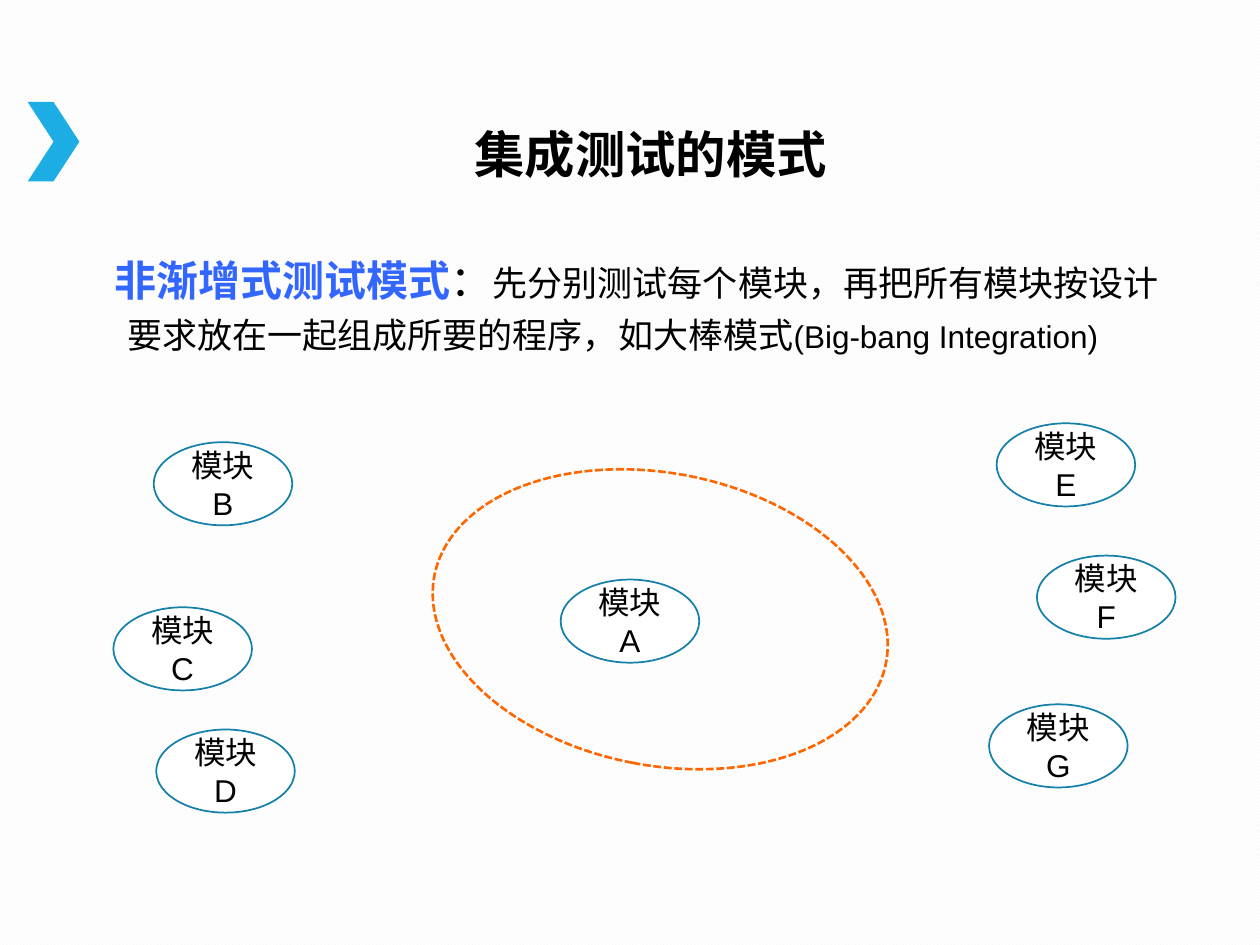
from pptx import Presentation
from pptx.dml.color import RGBColor
from pptx.enum.dml import MSO_LINE, MSO_PATTERN
from pptx.enum.shapes import MSO_SHAPE
from pptx.enum.text import MSO_ANCHOR, MSO_AUTO_SIZE, PP_ALIGN
from pptx.util import Inches, Pt


def paint(color, tone):
    color.rgb = RGBColor.from_string(tone)


def style(font, size, tone="000000", bold=False):
    font.name, font.size, font.bold = "Arial", Pt(size), bold
    paint(font.color, tone)


deck = Presentation()
deck.slide_width, deck.slide_height = Inches(10), Inches(7.5)
slide = deck.slides.add_slide(deck.slide_layouts[5])
shapes = slide.shapes

# Background: faint diagonal stripes
back = slide.background.fill
back.patterned()
back.pattern = MSO_PATTERN.LIGHT_UPWARD_DIAGONAL
paint(back.fore_color, "F2F2F2")
paint(back.back_color, "FFFFFF")

# Chevron beside the title
mark = shapes.add_shape(MSO_SHAPE.CHEVRON, Inches(0.22), Inches(0.81),
                        Inches(0.41), Inches(0.63))
mark.shadow.inherit = False
mark.fill.solid()
paint(mark.fill.fore_color, "1CADE4")
mark.line.fill.background()

# Title
title = shapes.title
title.left, title.top = Inches(2.17), Inches(0.99)
title.width, title.height = Inches(5.99), Inches(0.52)
frame = title.text_frame
frame.text = "集成测试的模式"
frame.auto_size = MSO_AUTO_SIZE.NONE
frame.vertical_anchor = MSO_ANCHOR.MIDDLE
para = frame.paragraphs[0]
para.alignment, para.line_spacing = PP_ALIGN.CENTER, 0.9
style(para.runs[0].font, 28.8, bold=True)

# Definition, with its term in blue
body = shapes.add_textbox(Inches(0.91), Inches(1.94), Inches(8.35), Inches(0.89))
frame = body.text_frame
frame.word_wrap = True
frame.auto_size = MSO_AUTO_SIZE.SHAPE_TO_FIT_TEXT
frame.margin_left = frame.margin_right = frame.margin_top = frame.margin_bottom = 0
para = frame.paragraphs[0]
para.line_spacing = 1.2
props = para._p.get_or_add_pPr()
props.set("marL", str(Inches(0.1)))
props.set("indent", str(Inches(-0.1)))
for words, size, tone, bold in (
    ("非渐增式测试模式", 24, "3366FF", True),
    ("：", 24, "000000", False),
    ("先分别测试每个模块，再把所有模块按设计要求放在一起组成所要的程序，如大棒模式", 20, "000000", False),
    ("(Big-bang Integration)", 18, "000000", False),
):
    run = para.add_run()
    run.text = words
    style(run.font, size, tone, bold)

# Modules: scattered by hand, all of one size
spots = {"A": (4.45, 4.6), "B": (1.22, 3.51), "C": (0.9, 4.82), "D": (1.24, 5.79),
         "G": (7.85, 5.59), "F": (8.23, 4.41), "E": (7.91, 3.36)}
for name, (left, top) in spots.items():
    node = shapes.add_shape(MSO_SHAPE.OVAL, Inches(left), Inches(top),
                            Inches(1.1), Inches(0.66))
    node.shadow.inherit = False
    node.fill.solid()
    paint(node.fill.fore_color, "FFFFFF")
    paint(node.line.color, "1580A9")
    node.line.width = Pt(1)
    frame = node.text_frame
    frame.text = f"模块\n{name}"
    frame.vertical_anchor = MSO_ANCHOR.MIDDLE
    for para in frame.paragraphs:
        para.alignment = PP_ALIGN.CENTER
        style(para.runs[0].font, 18)

# Dashed ring around module A
ring = shapes.add_shape(MSO_SHAPE.OVAL, Inches(4.08), Inches(3.09),
                        Inches(2.32), Inches(3.65))
ring.rotation = 280.9
ring.shadow.inherit = False
ring.fill.background()
paint(ring.line.color, "FF6600")
ring.line.width = Pt(1.5)
ring.line.dash_style = MSO_LINE.SQUARE_DOT

deck.save("out.pptx")
